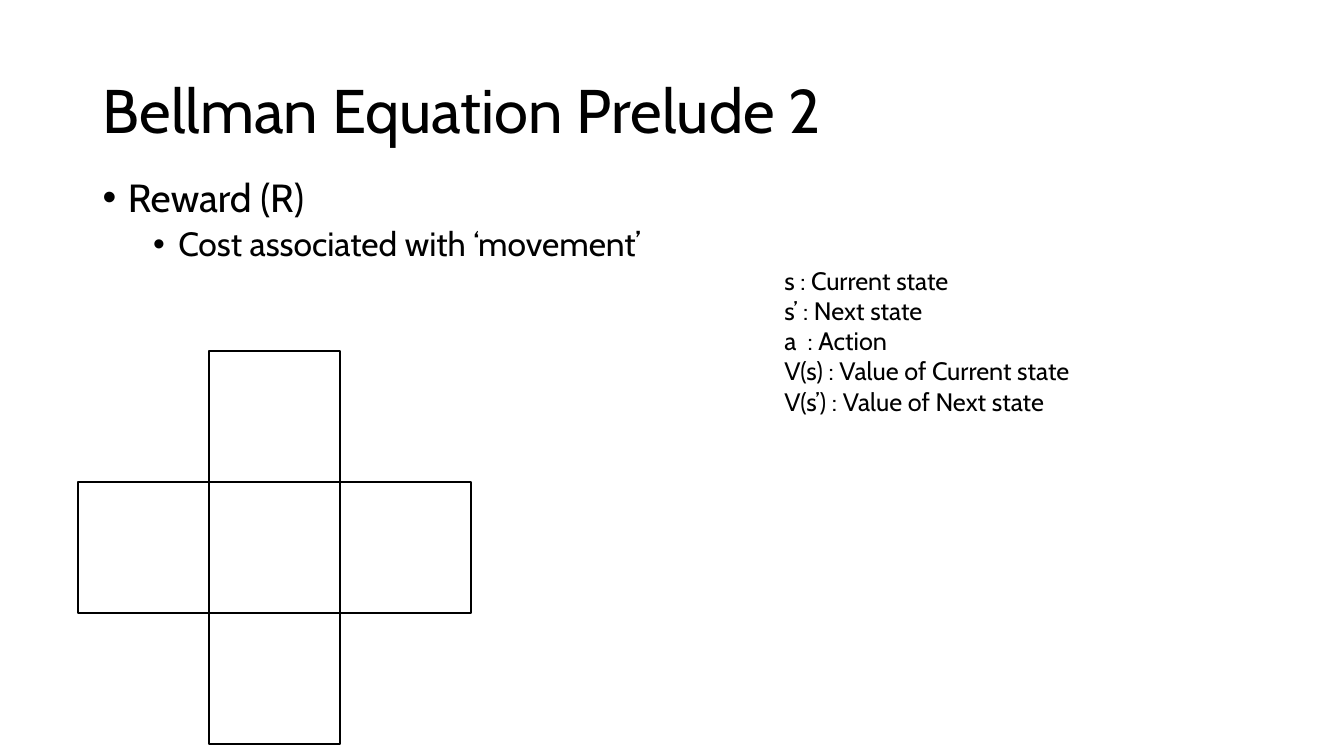
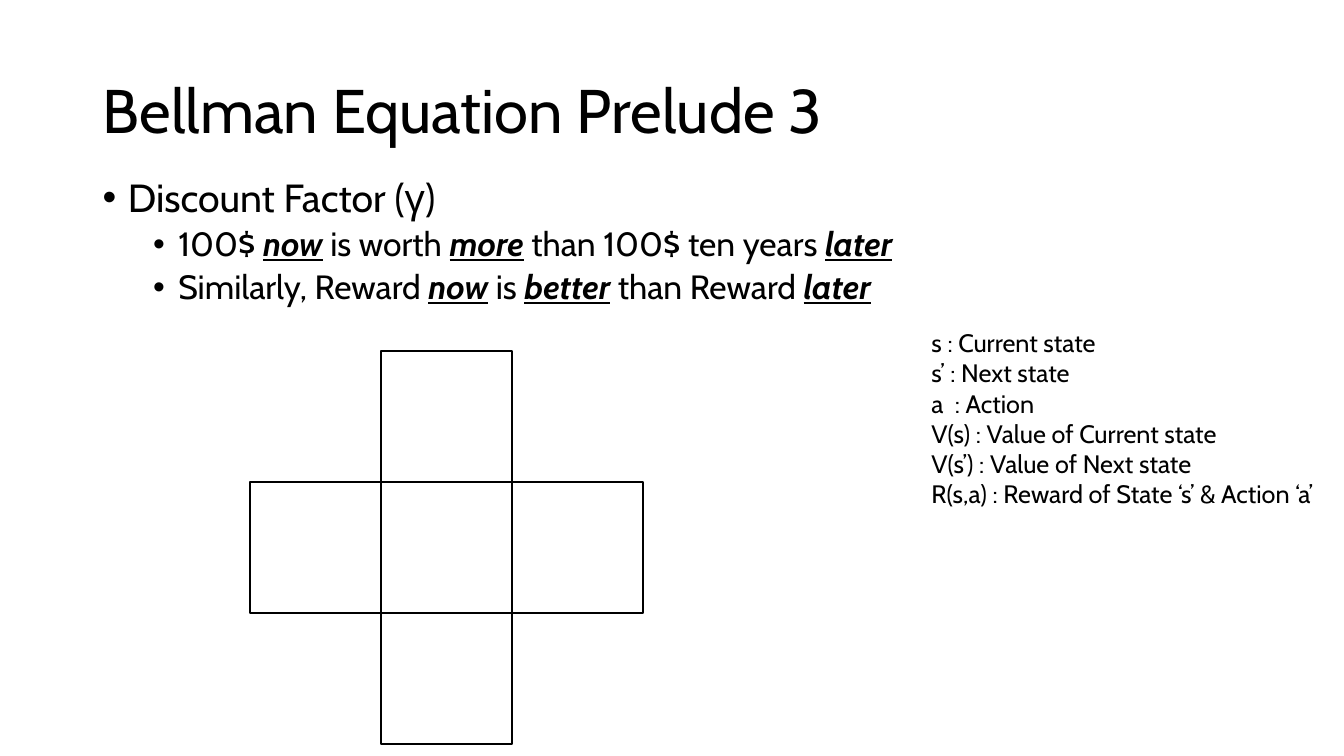
from lxml.etree import SubElement
from pptx import Presentation
from pptx.dml.color import RGBColor
from pptx.enum.shapes import MSO_SHAPE as Preset
from pptx.enum.text import MSO_ANCHOR as Anchor, MSO_AUTO_SIZE as AutoSize, PP_ALIGN as Align
from pptx.oxml.ns import qn
from pptx.util import Pt

PX = 9144  # EMU in one px, 100 px to the inch
BLACK = RGBColor(0, 0, 0)
FONT = "Cabin"
TITLE_ONLY = 5

TITLE_BOX = (92, 40, 1150, 145)
BODY_BOX = (92, 172, 1150, 476)
CELL = 130
CROSS_MIDDLE_TOP = 478
CROSS_STEPS = ((0, 1), (0, 0), (1, 0), (0, -1), (-1, 0))  # columns, rows

# Size, space before and left margin of each bullet level
BULLET_LEVELS = ((28, 10, 25), (24, 5, 75))
HANGING = 25

STATE_LEGEND = (
    "s : Current state",
    "s’ : Next state",
    "a  : Action",
    "V(s) : Value of Current state",
    "V(s’) : Value of Next state",
)

# Words between asterisks are emphasised
SLIDES = (
    dict(
        title="Bellman Equation Prelude 2",
        bullets=((0, "Reward (R)"), (1, "Cost associated with ‘movement’")),
        cross_left=207,
        legend=STATE_LEGEND,
        legend_box=(768, 258, 458, 162),
    ),
    dict(
        title="Bellman Equation Prelude 3",
        bullets=(
            (0, "Discount Factor (γ)"),
            (1, "100$ *now* is worth *more* than 100$ ten years *later*"),
            (1, "Similarly, Reward *now* is *better* than Reward *later*"),
        ),
        cross_left=378,
        legend=STATE_LEGEND + ("R(s,a) : Reward of State ‘s’ & Action ‘a’",),
        legend_box=(914, 320, 458, 192),
    ),
)


def emu(*lengths):
    return [length * PX for length in lengths]


def write(paragraph, text, size, spacing=1.0, before=0):
    """Fill a paragraph, emphasising the words between asterisks."""
    paragraph.alignment = Align.LEFT
    paragraph.line_spacing = spacing
    paragraph.space_before = Pt(before)
    for index, part in enumerate(text.split("*")):
        if not part:
            continue
        run = paragraph.add_run()
        run.text = part
        font = run.font
        font.name, font.size = FONT, Pt(size)
        font.color.rgb = BLACK
        if index % 2:
            font.bold = font.italic = font.underline = True


def add_bullet(paragraph, level):
    paragraph.level = level
    properties = paragraph._p.get_or_add_pPr()
    properties.set("marL", str(BULLET_LEVELS[level][2] * PX))
    properties.set("indent", str(-HANGING * PX))
    SubElement(properties, qn("a:buFont"), typeface="Arial")
    SubElement(properties, qn("a:buChar"), char="•")


def add_text_box(slide, box, count):
    """Add a text box and return its frame with the given number of paragraphs."""
    frame = slide.shapes.add_textbox(*emu(*box)).text_frame
    frame.word_wrap = True
    for _ in range(count - 1):
        frame.add_paragraph()
    return frame


def set_title(slide, text):
    title = slide.shapes.title
    title.left, title.top, title.width, title.height = emu(*TITLE_BOX)
    frame = title.text_frame
    frame.vertical_anchor = Anchor.MIDDLE
    frame.auto_size = AutoSize.NONE
    write(frame.paragraphs[0], text, size=44, spacing=0.9)


def add_body(slide, bullets):
    frame = add_text_box(slide, BODY_BOX, len(bullets))
    for paragraph, (level, text) in zip(frame.paragraphs, bullets):
        size, before, _ = BULLET_LEVELS[level]
        write(paragraph, text, size=size, spacing=0.9, before=before)
        add_bullet(paragraph, level)


def add_cross(slide, left):
    """Draw the middle state and its four neighbours."""
    for column, row in CROSS_STEPS:
        cell = slide.shapes.add_shape(
            Preset.RECTANGLE,
            *emu(left + column * CELL, CROSS_MIDDLE_TOP + row * CELL, CELL, CELL),
        )
        cell.shadow.inherit = False
        cell.fill.background()
        cell.line.color.rgb = BLACK
        cell.line.width = Pt(1.5)


def add_legend(slide, lines, box):
    frame = add_text_box(slide, box, len(lines))
    for paragraph, text in zip(frame.paragraphs, lines):
        write(paragraph, text, size=18)


def main():
    presentation = Presentation()
    presentation.slide_width, presentation.slide_height = emu(1333, 750)
    layout = presentation.slide_layouts[TITLE_ONLY]
    for content in SLIDES:
        slide = presentation.slides.add_slide(layout)
        set_title(slide, content["title"])
        add_body(slide, content["bullets"])
        add_cross(slide, content["cross_left"])
        add_legend(slide, content["legend"], content["legend_box"])
    presentation.save("out.pptx")


if __name__ == "__main__":
    main()
